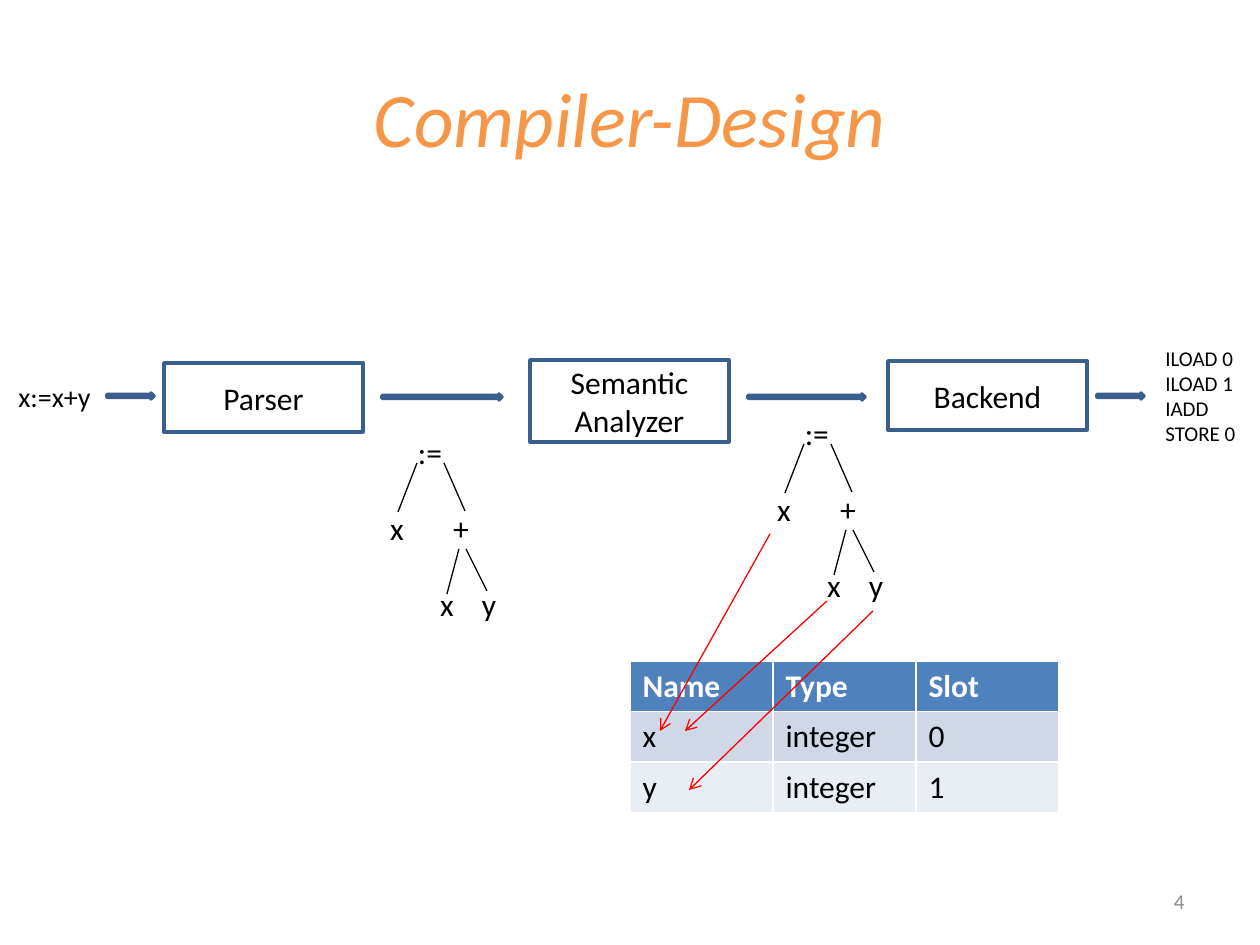
from lxml import etree
from pptx import Presentation
from pptx.dml.color import RGBColor
from pptx.enum.shapes import MSO_CONNECTOR, MSO_SHAPE
from pptx.enum.text import MSO_ANCHOR, PP_ALIGN
from pptx.oxml.ns import qn
from pptx.util import Emu, Pt

PIXEL = 914400 // 126
FONT = "Calibri"
COLORS = {"title": "F79646", "text": "000000", "white": "FFFFFF", "blue": "4F81BD",
          "outline": "3A5F8C", "odd": "D0D8E8", "even": "E9EDF4",
          "link": "FF0000", "number": "8C8C8C"}

# Text boxes: lines, (left, top, width, height), size, colour, alignment
TITLE = (["Compiler-Design"], (63, 38, 1134, 157), 44, "title", PP_ALIGN.CENTER)
LABELS = [
    (["x:=x+y"], (6, 373, 126, 47), 16, "text", PP_ALIGN.LEFT),
    (["ILOAD 0", "ILOAD 1", "IADD", "STORE 0"], (1153, 338, 102, 115), 12, "text", PP_ALIGN.LEFT),
    (["4"], (903, 876, 294, 50), 12, "number", PP_ALIGN.RIGHT),
]
STAGES = [("Parser", (164, 363, 199, 69)),
          ("Semantic Analyzer", (530, 360, 199, 82)),
          ("Backend", (888, 361, 199, 69))]
FLOW_ARROWS = [(107, 393, 47), (382, 394, 120), (748, 394, 117), (1097, 393, 47)]
ARROW_HEIGHT = 6

# Syntax tree, relative to its top left corner
TREES = [(378, 427), (765, 408)]
NODES = [(":=", 52, 0), ("x", 19, 1), ("+", 83, 1), ("x", 69, 2), ("y", 111, 2)]
NODE_SIZE, FIRST_ROW, ROW_STEP = (40, 38), 6, 76
BRANCHES = [((39, 36), (20, 85)), ((66, 36), (87, 84)),
            ((88, 122), (109, 164)), ((81, 122), (69, 167))]

SYMBOLS = [["Name", "Type", "Slot"], ["x", "integer", "0"], ["y", "integer", "1"]]
TABLE_LEFT, TABLE_TOP, COLUMN_WIDTH, ROW_HEIGHT = 630, 661, 143, 50
ROW_FILLS = ["blue", "odd", "even"]
LINKS = [((827, 601), (685, 731)), ((873, 611), (689, 790)), ((770, 534), (660, 731))]


def px(*values):
    """Turn pixels into EMU."""
    return [Emu(value * PIXEL) for value in values]


def color(name):
    """Look up a colour of the slide."""
    return RGBColor.from_string(COLORS[name])


def write(frame, lines, size, ink="text", align=PP_ALIGN.LEFT, bold=False, italic=False):
    """Fill a text frame, one paragraph a line."""
    frame.word_wrap = True
    frame.text = "\n".join(lines)
    for paragraph in frame.paragraphs:
        paragraph.alignment = align
        font = paragraph.font
        font.name, font.size, font.bold, font.italic = FONT, Pt(size), bold, italic
        font.color.rgb = color(ink)


def add_text(page, lines, area, size, ink, align, italic=False, inset=True):
    """Add a vertically centred text box."""
    frame = page.shapes.add_textbox(*px(*area)).text_frame
    frame.vertical_anchor = MSO_ANCHOR.MIDDLE
    if not inset:
        frame.margin_left = frame.margin_right = frame.margin_top = frame.margin_bottom = 0
    write(frame, lines, size, ink, align, italic=italic)


def add_block(page, kind, area, fill):
    """Add a filled shape with the blue outline."""
    block = page.shapes.add_shape(kind, *px(*area))
    block.shadow.inherit = False
    block.fill.solid()
    block.fill.fore_color.rgb = color(fill)
    block.line.color.rgb = color("outline")
    block.line.width = Pt(2)
    return block


def add_line(page, start, end, ink, arrow=False):
    """Add a thin straight line, with an arrowhead at its end if asked."""
    line = page.shapes.add_connector(MSO_CONNECTOR.STRAIGHT, *px(*start, *end))
    line.line.color.rgb = color(ink)
    line.line.width = Pt(0.75)
    if arrow:
        etree.SubElement(line.line._get_or_add_ln(), qn("a:tailEnd"), type="arrow")
    etree.SubElement(line._element.spPr, qn("a:effectLst"))


def add_tree(page, left, top):
    """Draw the syntax tree of the assignment."""
    width, height = NODE_SIZE
    for label, center, row in NODES:
        area = (left + center - width // 2, top + FIRST_ROW + row * ROW_STEP, width, height)
        add_text(page, [label], area, 18, "text", PP_ALIGN.CENTER, inset=False)
    for branch in BRANCHES:
        start, end = [(left + x, top + y) for x, y in branch]
        add_line(page, start, end, "text")


def add_symbol_table(page):
    """Add the symbol table with its header row."""
    rows, columns = len(SYMBOLS), len(SYMBOLS[0])
    area = px(TABLE_LEFT, TABLE_TOP, columns * COLUMN_WIDTH, rows * ROW_HEIGHT)
    table = page.shapes.add_table(rows, columns, *area).table
    for row, texts in enumerate(SYMBOLS):
        header = row == 0
        for column, text in enumerate(texts):
            cell = table.cell(row, column)
            cell.fill.solid()
            cell.fill.fore_color.rgb = color(ROW_FILLS[row])
            write(cell.text_frame, [text], 18, "white" if header else "text", bold=header)


deck = Presentation()
deck.slide_width, deck.slide_height = px(1260, 945)
page = deck.slides.add_slide(deck.slide_layouts[6])

add_text(page, *TITLE, italic=True)
for name, area in STAGES:
    stage = add_block(page, MSO_SHAPE.RECTANGLE, area, "white")
    stage.text_frame.vertical_anchor = MSO_ANCHOR.MIDDLE
    write(stage.text_frame, [name], 18, align=PP_ALIGN.CENTER)
for left, top, width in FLOW_ARROWS:
    add_block(page, MSO_SHAPE.RIGHT_ARROW, (left, top, width, ARROW_HEIGHT), "blue")
for label in LABELS:
    add_text(page, *label)
add_symbol_table(page)
for corner in TREES:
    add_tree(page, *corner)
for start, end in LINKS:
    add_line(page, start, end, "link", arrow=True)

deck.save("out.pptx")
